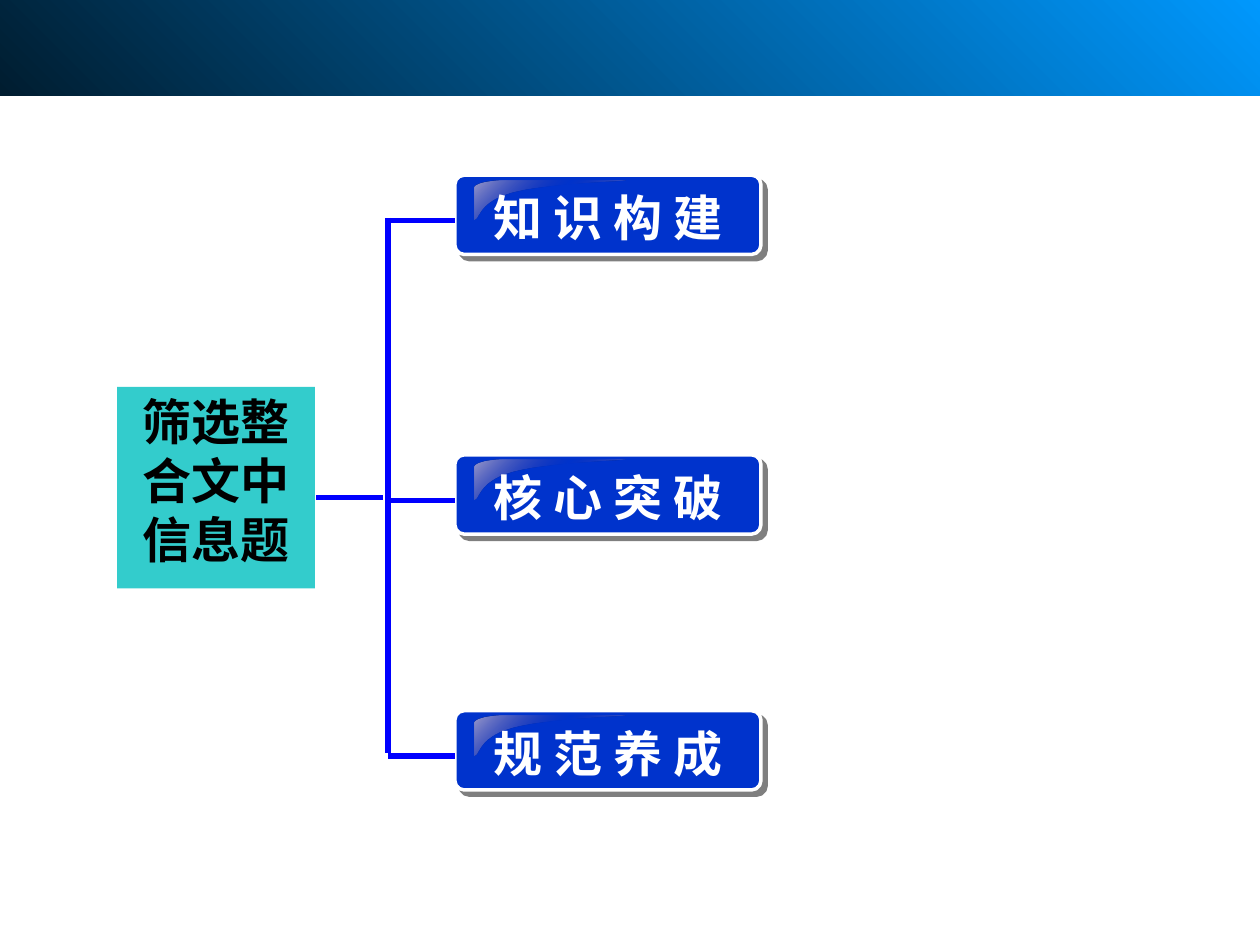
from collections import namedtuple

from lxml import etree
from pptx import Presentation
from pptx.dml.color import RGBColor
from pptx.enum.lang import MSO_LANGUAGE_ID as Lang
from pptx.enum.shapes import MSO_CONNECTOR as Connector, MSO_SHAPE as Preset
from pptx.enum.text import MSO_ANCHOR as Anchor, MSO_AUTO_SIZE as AutoSize, PP_ALIGN as Align
from pptx.oxml import parse_xml
from pptx.oxml.ns import nsdecls, qn
from pptx.util import Inches, Pt

COLORS = {
    "sky": "0099FF", "night": "001D30", "teal": "33CCCC", "blue": "0033CC",
    "wire": "0000FF", "shine": "9B9BCC", "indigo": "333399",
    "white": "FFFFFF", "black": "000000",
}
CELL = Inches(0.1)  # the slide is a grid of 100 columns by 75 rows
COLUMNS, ROWS = 100, 75
HAN_FONT, LATIN_FONT = "Noto Sans CJK SC", "Times New Roman"

TOPIC = "筛选整合文中信息题"
BRANCHES = [("知 识 构 建", 13.9), ("核 心 突 破", 36.1), ("规 范 养 成", 56.4)]
BRANCH_LEFT, BRANCH_WIDTH, BRANCH_HEIGHT = 36.1, 24.3, 6.3
TRUNK = 30.8

# Outline of the gloss, in percent of its box
GLOSS = [
    ("moveTo", [(20, 0)]),
    ("cubicBezTo", [(9, 0), (0, 9), (0, 19)]),
    ("lnTo", [(0, 100)]),
    ("cubicBezTo", [(4, 100), (2, 52), (27, 29)]),
    ("cubicBezTo", [(52, 6), (100, 3), (98, 0)]),
    ("lnTo", [(20, 0)]),
    ("close", []),
]

Box = namedtuple("Box", "left top width height")


def cells(*counts):
    return [round(count * CELL) for count in counts]


def rgb(name):
    return RGBColor.from_string(COLORS[name])


def add_panel(slide, preset, box):
    panel = slide.shapes.add_shape(preset, *cells(*box))
    panel.shadow.inherit = False
    panel.line.fill.background()
    return panel


def fill_solid(shape, color):
    shape.fill.solid()
    shape.fill.fore_color.rgb = rgb(color)


def fill_gradient(shape, stops, angle):
    """Stops are (percent, colour, opacity percent); the angle runs clockwise."""
    marks = "".join(
        f'<a:gs pos="{pos * 1000}"><a:srgbClr val="{COLORS[color]}">'
        f'<a:alpha val="{opacity * 1000}"/></a:srgbClr></a:gs>'
        for pos, color, opacity in stops)
    gradient = parse_xml(
        f'<a:gradFill {nsdecls("a")} rotWithShape="1"><a:gsLst>{marks}</a:gsLst>'
        f'<a:lin ang="{angle * 60000}" scaled="0"/></a:gradFill>')
    shape.fill.background()
    props = shape._element.spPr
    props.replace(props.find(qn("a:noFill")), gradient)


def write(shape, text, typeface, color, frame_format, align):
    frame = shape.text_frame
    for key, value in frame_format.items():
        setattr(frame, key, value)
    paragraph = frame.paragraphs[0]
    paragraph.alignment = align
    run = paragraph.add_run()
    run.text = text
    font_format = {"name": typeface, "size": Pt(28), "bold": True,
                   "language_id": Lang.SIMPLIFIED_CHINESE}
    for key, value in font_format.items():
        setattr(run.font, key, value)
    run.font.color.rgb = rgb(color)
    east_asian = etree.SubElement(run._r.get_or_add_rPr(), qn("a:ea"))
    east_asian.set("typeface", HAN_FONT)


def add_banner(slide, box):
    banner = add_panel(slide, Preset.RECTANGLE, box)
    fill_gradient(banner, [(0, "sky", 100), (100, "night", 100)], 135)


def add_topic(slide, box):
    topic = add_panel(slide, Preset.RECTANGLE, box)
    fill_solid(topic, "teal")
    write(topic, TOPIC, HAN_FONT, "black", {
        "word_wrap": True, "auto_size": AutoSize.SHAPE_TO_FIT_TEXT,
        "vertical_anchor": Anchor.TOP,
        "margin_left": Inches(0.1), "margin_right": Inches(0.1),
        "margin_top": Inches(0.04), "margin_bottom": Inches(0.16),
    }, Align.CENTER)


def add_gloss(slide, box):
    left, top, right, bottom = cells(
        box.left, box.top, box.left + box.width, box.top + box.height)
    builder = slide.shapes.build_freeform(left, top)
    builder.add_line_segments([(right, top), (right, bottom)])
    gloss = builder.convert_to_shape()

    # Curved outline inside the box
    outline = next(gloss._element.iter(qn("a:path")))
    for step in list(outline):
        outline.remove(step)
    outline.set("w", "100")
    outline.set("h", "100")
    for move, points in GLOSS:
        step = etree.SubElement(outline, qn(f"a:{move}"))
        for x, y in points:
            etree.SubElement(step, qn("a:pt"), x=str(x), y=str(y))

    gloss.shadow.inherit = False
    gloss.line.fill.background()
    fill_gradient(gloss, [(0, "shine", 100), (50, "indigo", 0), (100, "shine", 100)], 225)


def add_branch(slide, text, box):
    # Button with a hard shadow
    button = add_panel(slide, Preset.ROUNDED_RECTANGLE, box)
    button.adjustments[0] = 0.12
    fill_solid(button, "blue")
    button.line.color.rgb = rgb("white")
    button.line.width = Pt(2)
    button._element.spPr.find(qn("a:effectLst")).append(parse_xml(
        f'<a:outerShdw {nsdecls("a")} blurRad="0" dist="{Pt(4.2)}" dir="2700000" '
        f'algn="ctr" rotWithShape="0"><a:srgbClr val="{COLORS["black"]}">'
        '<a:alpha val="50000"/></a:srgbClr></a:outerShdw>'))

    add_gloss(slide, Box(box.left + 1.6, box.top + 0.4, box.width / 2, box.height / 2))

    # Label
    label = slide.shapes.add_textbox(*cells(box.left + 2.1, box.top + 0.5, 41.1, 5.7))
    write(label, text, LATIN_FONT, "white", {
        "word_wrap": True, "auto_size": AutoSize.SHAPE_TO_FIT_TEXT,
        "vertical_anchor": Anchor.MIDDLE,
    }, Align.LEFT)


def add_wire(slide, *ends):
    wire = slide.shapes.add_connector(Connector.STRAIGHT, *cells(*ends))
    wire.line.color.rgb = rgb("wire")
    wire.line.width = Pt(3)
    etree.SubElement(wire._element.spPr, qn("a:effectLst"))


def add_bracket(slide, topic, tops):
    joints = [top + 3.6 for top in tops]
    stem = joints[1] - 0.2
    add_wire(slide, topic.left + topic.width + 0.1, stem, TRUNK - 0.4, stem)
    add_wire(slide, TRUNK, joints[0] - 0.2, TRUNK, joints[-1] - 0.2)
    for joint in joints:
        add_wire(slide, TRUNK, joint, BRANCH_LEFT, joint)


def main():
    deck = Presentation()
    deck.slide_width, deck.slide_height = cells(COLUMNS, ROWS)
    slide = deck.slides.add_slide(deck.slide_layouts[6])

    topic = Box(9.3, 30.7, 15.7, 16)
    add_topic(slide, topic)
    add_banner(slide, Box(0, -1.1, COLUMNS, 8.7))
    for text, top in BRANCHES:
        add_branch(slide, text, Box(BRANCH_LEFT, top, BRANCH_WIDTH, BRANCH_HEIGHT))
    add_bracket(slide, topic, [top for _, top in BRANCHES])

    deck.save("out.pptx")


if __name__ == "__main__":
    main()
